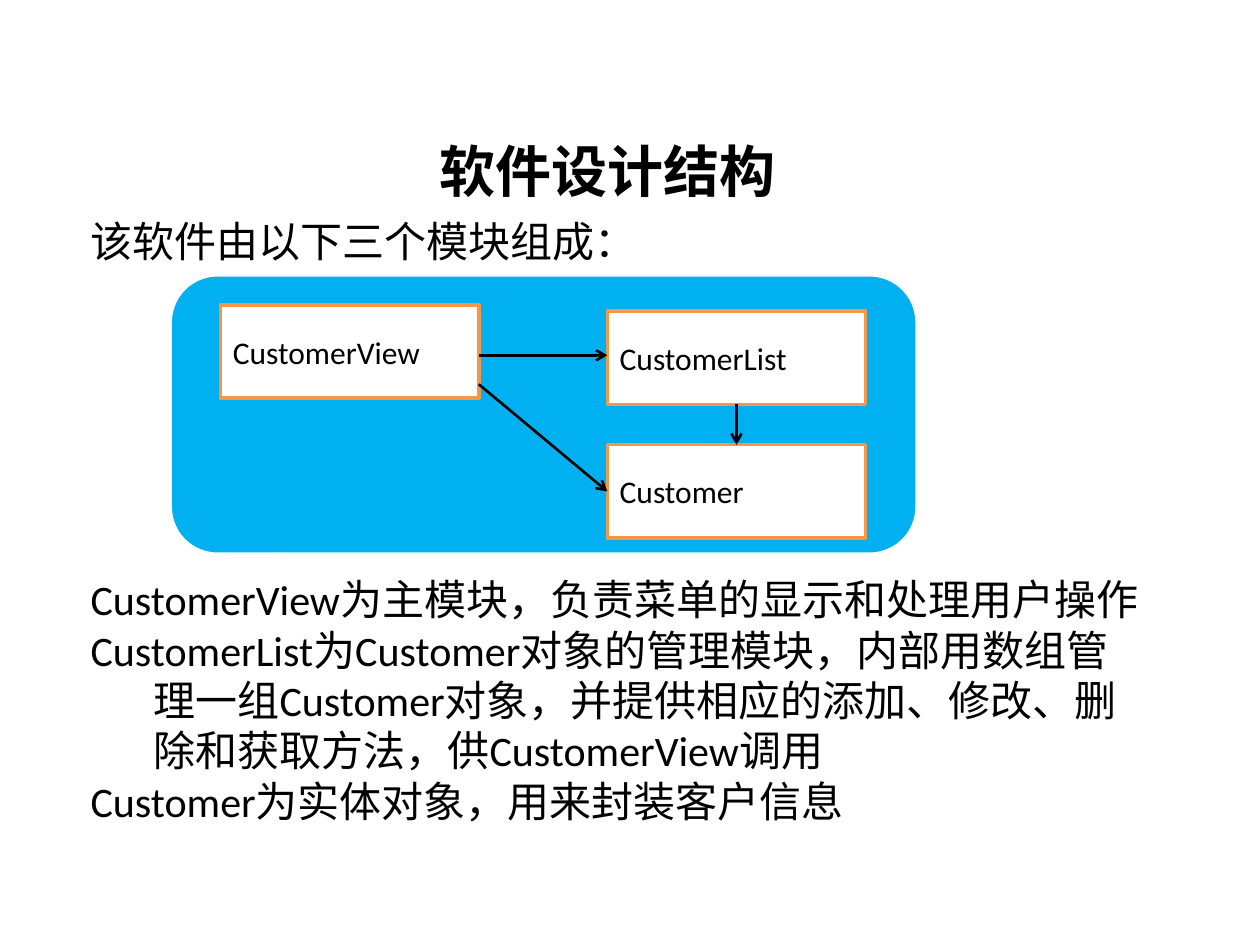
from lxml.etree import SubElement
from pptx import Presentation
from pptx.dml.color import RGBColor
from pptx.enum.shapes import MSO_CONNECTOR, MSO_SHAPE
from pptx.enum.text import MSO_ANCHOR, PP_ALIGN
from pptx.oxml.ns import qn
from pptx.util import Inches, Pt

BLACK = RGBColor(0x00, 0x00, 0x00)
WHITE = RGBColor(0xFF, 0xFF, 0xFF)
BLUE = RGBColor(0x00, 0xB0, 0xF0)
ORANGE = RGBColor(0xF7, 0x96, 0x46)
FONT = "Calibri"

# Content
TITLE = "软件设计结构"
BODY = [
    "该软件由以下三个模块组成：",
    "CustomerView为主模块，负责菜单的显示和处理用户操作",
    "CustomerList为Customer对象的管理模块，内部用数组管理一组Customer对象，"
    "并提供相应的添加、修改、删除和获取方法，供CustomerView调用",
    "Customer为实体对象，用来封装客户信息",
]
DIAGRAM_GAP = Pt(176)  # room for the diagram below the first paragraph
BOX_W, BOX_H = 2.05, 0.74
MODULES = {  # name: (left, top)
    "CustomerList": (4.82, 2.47),
    "CustomerView": (1.75, 2.42),
    "Customer": (4.82, 3.53),
}
BOTTOM, TOP, LEFT = 2, 0, 1


def format_runs(p, size, bold=False):
    for r in p.runs:
        r.font.name = FONT
        r.font.size = Pt(size)
        r.font.bold = bold
        r.font.color.rgb = BLACK


def add_box(s, kind, at, fill, line, width):
    sp = s.shapes.add_shape(kind, *map(Inches, at))
    sp.shadow.inherit = False
    sp.fill.solid()
    sp.fill.fore_color.rgb = fill
    sp.line.color.rgb = line
    sp.line.width = Pt(width)
    return sp


def add_arrow(s, start, end):
    c = s.shapes.add_connector(MSO_CONNECTOR.STRAIGHT, *map(Inches, start + end))
    c.line.color.rgb = BLACK
    c.line.width = Pt(1.5)
    SubElement(c.line._get_or_add_ln(), qn("a:tailEnd"), type="arrow")
    SubElement(c._element.spPr, qn("a:effectLst"))
    return c


prs = Presentation()
prs.slide_width, prs.slide_height = Inches(10), Inches(7.5)
s = prs.slides.add_slide(prs.slide_layouts[5])

# Title
title = s.shapes.title
title.left, title.top, title.width, title.height = map(Inches, (0.67, 1.03, 8.31, 0.64))
title.text_frame.text = TITLE
title.text_frame.paragraphs[0].alignment = PP_ALIGN.CENTER
format_runs(title.text_frame.paragraphs[0], 32, bold=True)

# Description with hanging indents
tf = s.shapes.add_textbox(*map(Inches, (0.62, 1.66, 8.59, 4.95))).text_frame
tf.word_wrap = True
for i, text in enumerate(BODY):
    p = tf.paragraphs[0] if i == 0 else tf.add_paragraph()
    p.text = text
    pPr = p._p.get_or_add_pPr()
    pPr.set("marL", str(Inches(0.5)))
    pPr.set("indent", str(Inches(-0.5)))
    format_runs(p, 24)
tf.paragraphs[1].space_before = DIAGRAM_GAP

# Diagram panel and module boxes
add_box(s, MSO_SHAPE.ROUNDED_RECTANGLE, (1.36, 2.19, 5.91, 2.2), BLUE, WHITE, 0.75)
boxes = {}
for name, (x, y) in MODULES.items():
    sp = add_box(s, MSO_SHAPE.RECTANGLE, (x, y, BOX_W, BOX_H), WHITE, ORANGE, 2)
    sp.text_frame.text = name
    sp.text_frame.vertical_anchor = MSO_ANCHOR.MIDDLE
    sp.text_frame.paragraphs[0].alignment = PP_ALIGN.LEFT
    format_runs(sp.text_frame.paragraphs[0], 18)
    boxes[name] = sp

# Dependencies between modules
view_right = MODULES["CustomerView"][0] + BOX_W
list_left, list_top = MODULES["CustomerList"]
customer_left, customer_top = MODULES["Customer"]
add_arrow(s, (view_right, 2.82), (list_left, 2.82))
to_customer = add_arrow(s, (view_right, 3.05), (customer_left, customer_top + BOX_H / 2))
to_customer.end_connect(boxes["Customer"], LEFT)
middle = list_left + BOX_W / 2
down = add_arrow(s, (middle, list_top + BOX_H), (middle, customer_top))
down.begin_connect(boxes["CustomerList"], BOTTOM)
down.end_connect(boxes["Customer"], TOP)

prs.save("out.pptx")
